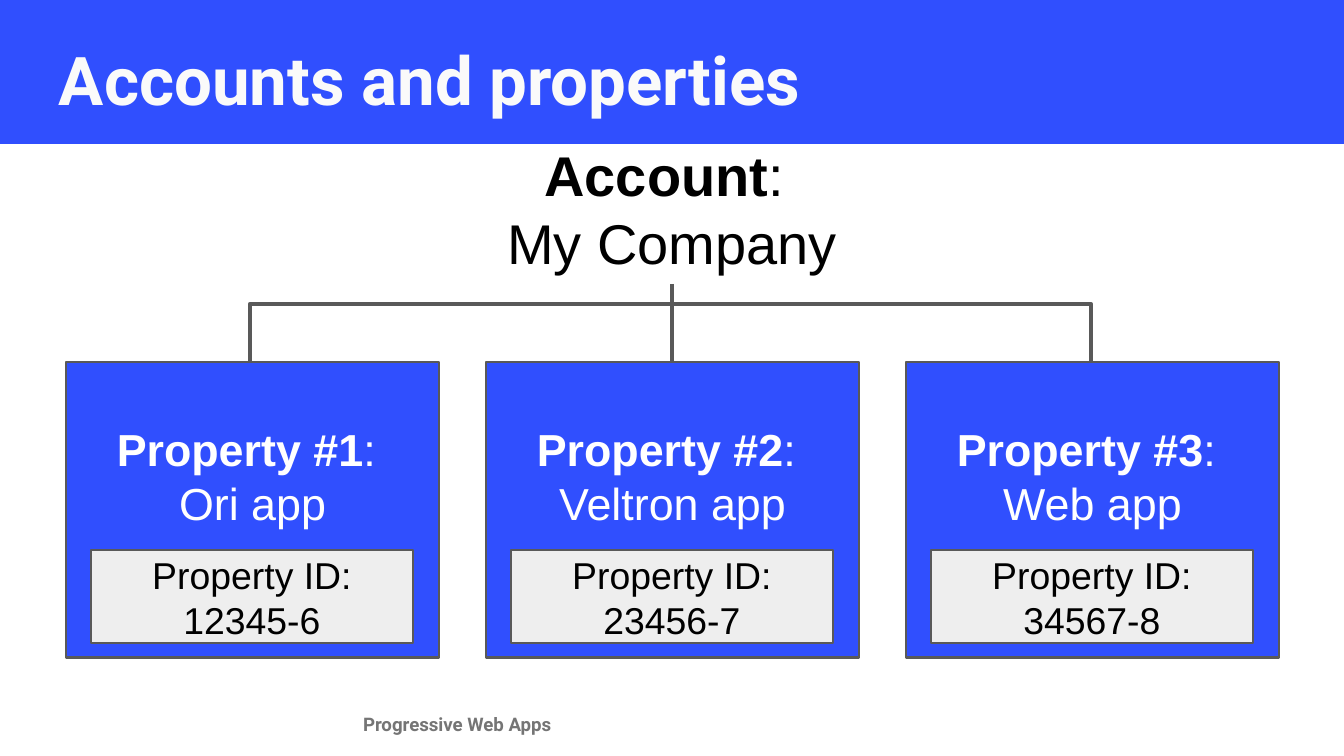
from lxml.etree import SubElement
from pptx import Presentation
from pptx.dml.color import RGBColor
from pptx.enum.shapes import MSO_CONNECTOR, MSO_SHAPE
from pptx.enum.text import MSO_ANCHOR, PP_ALIGN
from pptx.oxml.ns import qn
from pptx.util import Emu, Pt

PX = 914400 / 134.4
COLORS = {
    "blue": "304FFE",
    "gray": "595959",
    "pale": "EEEEEE",
    "white": "FFFFFF",
    "title": "FAFAFA",
    "footer": "757575",
    "black": "000000",
}


def px(*lengths):
    return [Emu(round(length * PX)) for length in lengths]


def add_text(box, fill=None, line=None, lines=(), size=18, font="Arial", color="black",
             align=PP_ALIGN.CENTER, anchor=MSO_ANCHOR.TOP, top=13, bottom=13):
    """Add a text box, or a rectangle if fill is given; lines hold (text, bold) runs."""
    if fill:
        holder = slide.shapes.add_shape(MSO_SHAPE.RECTANGLE, *px(*box))
        holder.shadow.inherit = False
        holder.fill.solid()
        holder.fill.fore_color.rgb = RGBColor.from_string(COLORS[fill])
        if line:
            holder.line.color.rgb = RGBColor.from_string(COLORS["gray"])
            holder.line.width = Pt(line)
        else:
            holder.line.fill.background()
    else:
        holder = slide.shapes.add_textbox(*px(*box))
    frame = holder.text_frame
    frame.word_wrap = True
    frame.vertical_anchor = anchor
    frame.margin_left, frame.margin_top, frame.margin_right, frame.margin_bottom = px(13, top, 13, bottom)
    for index, runs in enumerate(lines):
        paragraph = frame.add_paragraph() if index else frame.paragraphs[0]
        paragraph.alignment = align
        for text, bold in runs:
            run = paragraph.add_run()
            run.text = text
            run.font.name = font
            run.font.size = Pt(size)
            run.font.bold = bold
            run.font.color.rgb = RGBColor.from_string(COLORS[color])


presentation = Presentation()
presentation.slide_width, presentation.slide_height = px(1344, 756)
slide = presentation.slides.add_slide(presentation.slide_layouts[6])

# Footer and title band
add_text((350, 702, 778, 34), lines=[[("Progressive Web Apps", True)]], size=10,
         font="Roboto", color="footer", align=PP_ALIGN.LEFT)
add_text((-1, -5, 1345, 149), fill="blue")
add_text((46, 25, 1252, 85), lines=[[("Accounts and properties", True)]], size=36,
         font="Roboto", color="title", align=PP_ALIGN.LEFT)

# Account
add_text((237, 128, 870, 156), size=30,
         lines=[[("Account", True), (": ", False)], [("My Company", False)]])

# Properties
properties = [("Ori app", "12345-6"), ("Veltron app", "23456-7"), ("Web app", "34567-8")]
for number, (platform, property_id) in enumerate(properties, start=1):
    left = 66 + 420 * (number - 1)
    add_text((left, 362, 373, 296), fill="blue", line=1.5, size=24, color="white",
             anchor=MSO_ANCHOR.MIDDLE, bottom=82,
             lines=[[(f"Property #{number}", True), (": ", False)], [(platform, False)]])
    add_text((left + 25, 550, 322, 93), fill="pale", line=0.75, size=20,
             anchor=MSO_ANCHOR.MIDDLE, top=15,
             lines=[[(f"Property ID: {property_id}", False)]])

# Branches from the account to each property
branches = [
    (MSO_CONNECTOR.ELBOW, 304, 250),
    (MSO_CONNECTOR.STRAIGHT, 284, 672),
    (MSO_CONNECTOR.ELBOW, 304, 1091),
]
for kind, start, end in branches:
    branch = slide.shapes.add_connector(kind, *px(672, start, end, 362))
    branch.line.color.rgb = RGBColor.from_string(COLORS["gray"])
    branch.line.width = Pt(2.25)
    properties_xml = branch._element.spPr
    SubElement(properties_xml, qn("a:effectLst"))
    if kind == MSO_CONNECTOR.ELBOW:
        bend = properties_xml.find(qn("a:prstGeom")).find(qn("a:avLst"))
        SubElement(bend, qn("a:gd"), name="adj1", fmla="val 100000")

presentation.save("out.pptx")
